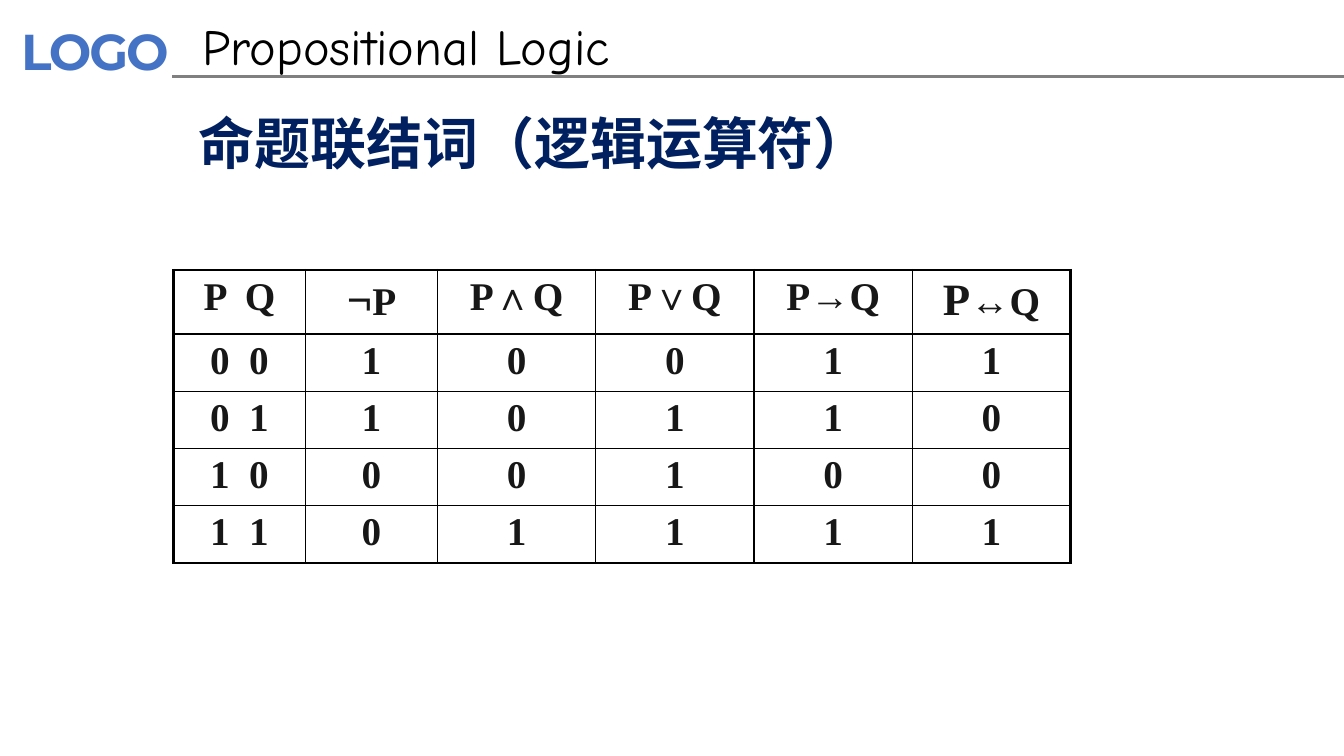
import itertools

import pptx
import pptx.dml.color
import pptx.enum.shapes
import pptx.enum.text
import pptx.oxml
import pptx.oxml.ns
import pptx.util

Inches = pptx.util.Inches
Pt = pptx.util.Pt
RGBColor = pptx.dml.color.RGBColor

BLACK = RGBColor(0x00, 0x00, 0x00)
INK = RGBColor(0x18, 0x17, 0x17)
NAVY = RGBColor(0x00, 0x20, 0x60)
BLUE = RGBColor(0x44, 0x72, 0xC4)
GRAY = RGBColor(0x80, 0x80, 0x80)

# Each heading is a list of (text, size) runs
HEADINGS = [
    [("P  Q", 28)],
    [("¬", 32), ("P", 28)],
    [("P∧Q", 28)],
    [("P∨Q", 28)],
    [("P→Q", 28)],
    [("P", 32), ("↔Q", 28)],
]


class LogicSlide:
    """Holds the text style of the table and the page being filled."""

    table_font = "Times New Roman"
    outer_line = 2
    inner_line = 1

    def __init__(self, deck):
        self.page = deck.slides.add_slide(deck.slide_layouts[6])

    def span(self, para, text, size, font, color, bold=False):
        span = para.add_run()
        span.text = text
        span.font.size = Pt(size)
        span.font.name = font
        span.font.color.rgb = color
        span.font.bold = bold
        return span

    def text(self, left, top, width, height, text, size, font, color,
             bold=False, wrap=True, inset=(0.1, 0.05), spacing=None):
        box = self.page.shapes.add_textbox(
            Inches(left), Inches(top), Inches(width), Inches(height))
        frame = box.text_frame
        frame.word_wrap = wrap
        frame.auto_size = pptx.enum.text.MSO_AUTO_SIZE.SHAPE_TO_FIT_TEXT
        frame.margin_left = frame.margin_right = Inches(inset[0])
        frame.margin_top = frame.margin_bottom = Inches(inset[1])
        span = self.span(frame.paragraphs[0], text, size, font, color, bold)
        if spacing is not None:
            span.font._element.set("spc", str(round(spacing * 100)))

    def rule(self, left, right, top, color, width):
        line = self.page.shapes.add_connector(
            pptx.enum.shapes.MSO_CONNECTOR.STRAIGHT,
            Inches(left), Inches(top), Inches(right), Inches(top))
        line.line.color.rgb = color
        line.line.width = Pt(width)
        line._element.spPr.append(pptx.oxml.parse_xml(
            f"<a:effectLst {pptx.oxml.ns.nsdecls('a')}/>"))

    def border(self, cell, side, width):
        cell._tc.get_or_add_tcPr().append(pptx.oxml.parse_xml(
            f'<a:ln{side} {pptx.oxml.ns.nsdecls("a")} w="{Pt(width)}">'
            f'<a:solidFill><a:srgbClr val="{BLACK}"/></a:solidFill>'
            f'</a:ln{side}>'))

    def table(self, left, top, widths, heights, rows):
        table = self.page.shapes.add_table(
            len(heights), len(widths), Inches(left), Inches(top),
            Inches(sum(widths)), Inches(sum(heights))).table
        table.first_row = table.horz_banding = False
        for column, width in zip(table.columns, widths):
            column.width = Inches(width)
        for row, height in zip(table.rows, heights):
            row.height = Inches(height)

        last_row, last_column = len(heights) - 1, len(widths) - 1
        for r, c in itertools.product(range(len(heights)), range(len(widths))):
            cell = table.cell(r, c)
            para = cell.text_frame.paragraphs[0]
            para.alignment = pptx.enum.text.PP_ALIGN.CENTER
            for text, size in rows[r][c]:
                self.span(para, text, size, self.table_font, INK, bold=True)
            # Heavier lines run round the outside of the table
            edges = {"L": c == 0, "R": c == last_column,
                     "T": r == 0, "B": r == last_row}
            for side, outer in edges.items():
                self.border(cell, side,
                            self.outer_line if outer else self.inner_line)
            cell.fill.background()


def truth_rows():
    for p, q in itertools.product((0, 1), repeat=2):
        values = [1 - p, p & q, p | q, (1 - p) | q, int(p == q)]
        texts = [f"{p}  {q}"] + [str(value) for value in values]
        yield [[(text, 28)] for text in texts]


def main():
    deck = pptx.Presentation()
    deck.slide_width = Inches(13.33)
    deck.slide_height = Inches(7.5)
    slide = LogicSlide(deck)

    # Header band
    slide.text(0.08, 0.13, 1.86, 0.74, "LOGO", 36, "Montserrat", BLUE,
               bold=True, inset=(0.13, 0.07), spacing=-1.5)
    slide.rule(1.71, 13.33, 0.76, GRAY, 2)
    slide.text(1.91, 0.1, 6.3, 0.71, "Propositional Logic", 36,
               "Comic Neue", BLACK)

    # Topic
    slide.text(1.87, 1.03, 6.93, 0.77, "命题联结词（逻辑运算符）", 40,
               "Arial", NAVY, bold=True, wrap=False)

    # Truth table of the connectives
    slide.table(1.72, 2.68, [1.31] * 2 + [1.57] * 4, [0.63] + [0.52] * 4,
                [HEADINGS, *truth_rows()])

    deck.save("out.pptx")


if __name__ == "__main__":
    main()
